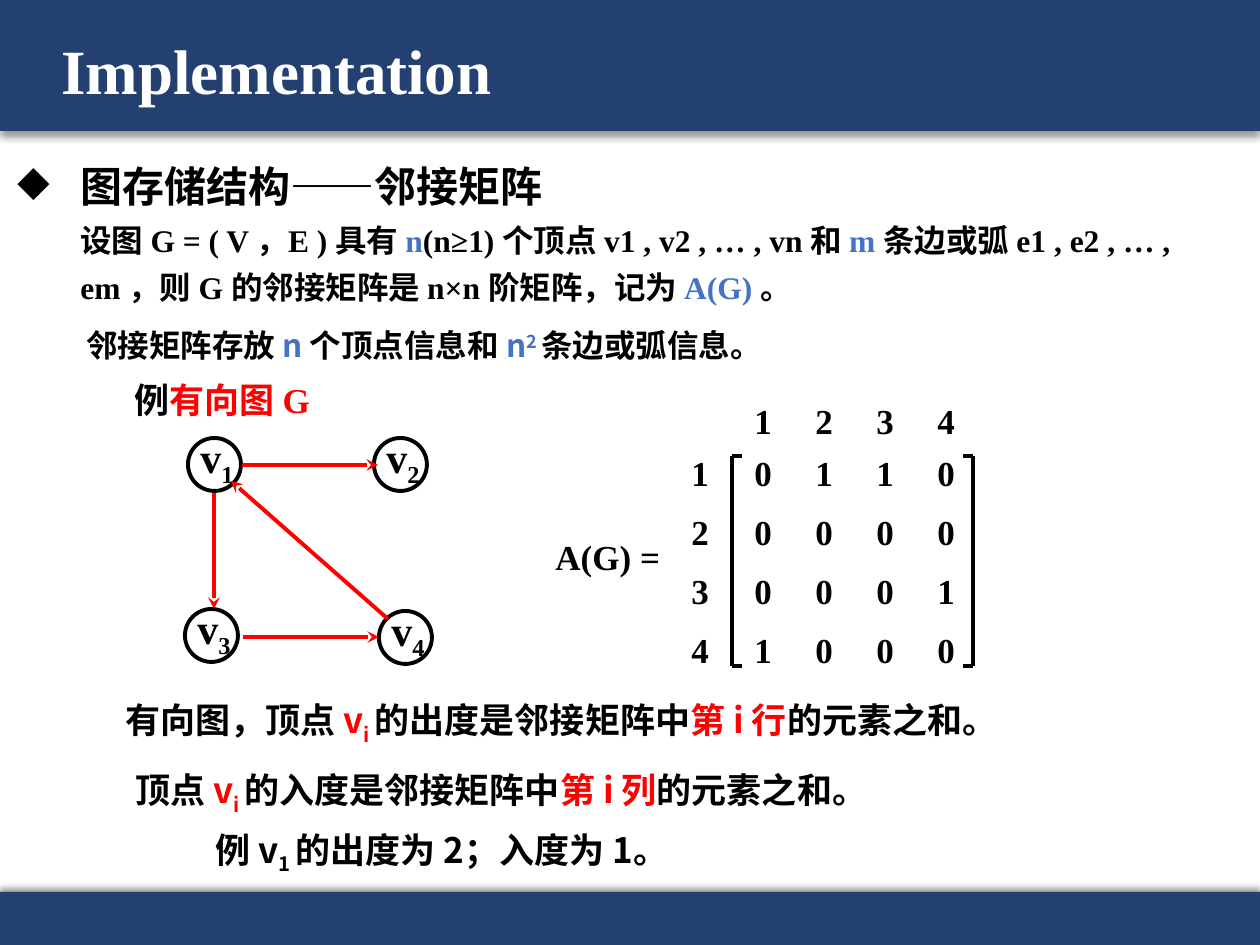
"""Build the slide on the adjacency matrix of a directed graph."""
from lxml.etree import SubElement
from pptx import Presentation
from pptx.dml.color import RGBColor
from pptx.enum.shapes import MSO_CONNECTOR, MSO_SHAPE
from pptx.enum.text import MSO_ANCHOR
from pptx.oxml.ns import qn
from pptx.util import Pt

PX = 914400 / 126
HUES = {"navy": "234071", "white": "FFFFFF", "black": "000000",
        "red": "FF0000", "blue": "4472C4"}
HUES = {name: RGBColor.from_string(code) for name, code in HUES.items()}
TIMES, NOTO = "Times New Roman", "Noto Sans CJK SC"

deck = Presentation()
deck.slide_width, deck.slide_height = round(1260 * PX), round(945 * PX)
slide = deck.slides.add_slide(deck.slide_layouts[6])
shapes = slide.shapes


def scale(*sizes):
    return [round(size * PX) for size in sizes]


def write(text, at, size=20, font=TIMES, hue="black", tabs=(), bullet=None,
          space=None, anchor=MSO_ANCHOR.TOP):
    """Text is a string or a list of (string, overrides) runs."""
    frame = shapes.add_textbox(*scale(*at)).text_frame
    frame.word_wrap = True
    frame.vertical_anchor = anchor
    par = frame.paragraphs[0]
    if space:
        par.line_spacing = space
    props = par._p.get_or_add_pPr()
    if bullet:
        props.set("marL", "457200")
        props.set("indent", "-457200")
        SubElement(props, qn("a:buChar"), char=bullet)
    if tabs:
        stops = SubElement(props, qn("a:tabLst"))
        for stop in scale(*tabs):
            SubElement(stops, qn("a:tab"), pos=str(stop), algn="l")
    for part, extra in [(text, {})] if isinstance(text, str) else text:
        if part == "\n":
            par.add_line_break()
            continue
        run = par.add_run()
        run.text = part
        run.font.size = Pt(extra.get("size", size))
        run.font.bold = True
        run.font.color.rgb = HUES[extra.get("hue", hue)]
        run.font.name = font
        mark = run._r.get_or_add_rPr()
        SubElement(mark, qn("a:ea"), typeface=NOTO)
        if "base" in extra:
            mark.set("baseline", str(extra["base"] * 1000))


for top, high, turn in [(0, 131, 90), (892, 53, 270)]:
    bar = shapes.add_shape(MSO_SHAPE.RECTANGLE, *scale(0, top, 1260, high))
    bar.fill.solid()
    bar.fill.fore_color.rgb = HUES["navy"]
    bar.line.fill.background()
    bar.shadow.inherit = False
    glow = SubElement(bar._element.spPr.find(qn("a:effectLst")), qn("a:outerShdw"),
                      blurRad=str(Pt(4)), dist=str(Pt(3)), dir=str(turn * 60000),
                      algn="t", rotWithShape="0")
    shade = SubElement(glow, qn("a:srgbClr"), val=str(HUES["black"]))
    SubElement(shade, qn("a:alpha"), val="40000")

plain, red, blue = {}, {"hue": "red"}, {"hue": "blue"}
sub = {"base": -25}
redsub = {**red, **sub}

write("Implementation", (49, 20, 1086, 108), size=36, hue="white", space=0.9,
      anchor=MSO_ANCHOR.MIDDLE)
write([("图存储结构——邻接矩阵", {"size": 24}), ("\n", plain),
       ("设图 G = ( V ，E ) 具有 ", plain), ("n", blue),
       ("(n≥1) 个顶点 v1 , v2 , … , vn 和 ", plain), ("m", blue),
       (" 条边或弧 e1 , e2 , … , em ，则 G 的邻接矩阵是 n×n 阶矩阵，记为 ", plain),
       ("A(G)", blue), (" 。", plain)],
      (5, 142, 1194, 171), size=18, bullet="◆", space=1.25)
write([("邻接矩阵存放 ", plain), ("n ", blue), ("个顶点信息和 ", plain),
       ("n", blue), ("2 ", {**blue, "base": 30}), ("条边或弧信息。", plain)],
      (74, 320, 1050, 50), size=18, font=NOTO)
write([("例", plain), ("有向图 G", red)], (122, 372, 336, 55))

nodes = [(188, 438), (374, 438), (185, 609), (379, 611)]
for num, (left, top) in enumerate(nodes, 1):
    ring = shapes.add_shape(MSO_SHAPE.OVAL, *scale(left, top, 53, 53))
    ring.fill.background()
    ring.line.color.rgb = HUES["black"]
    ring.line.width = Pt(2.25)
    ring.shadow.inherit = False
    write([("v", plain), (str(num), sub)], (left, top - 13, 94, 63), size=24)

edges = [(242, 465, 378, 465), (214, 493, 214, 609),
         (243, 637, 379, 637), (388, 619, 231, 481)]
top, foot = 456, 666
sides = []
for post, tip in [(732, 742), (973, 963)]:
    sides += [(post, top, post, foot), (post, top, tip, top), (post, foot, tip, foot)]
for hue, group in [("red", edges), ("black", sides)]:
    for ends in group:
        line = shapes.add_connector(MSO_CONNECTOR.STRAIGHT, *scale(*ends))
        line.line.color.rgb = HUES[hue]
        line.line.width = Pt(2.25)
        if hue == "red":
            SubElement(line.line._get_or_add_ln(), qn("a:tailEnd"), type="stealth")
        SubElement(line._element.spPr, qn("a:effectLst"))

write("A(G) =", (543, 529, 220, 55))
stops = [61 * col for col in (1, 2, 3)]
write("\t".join("1234"), (742, 393, 346, 55), tabs=stops)
for num, row in enumerate(["0110", "0000", "0001", "1000"]):
    level = 445 + 59 * num
    write(str(num + 1), (679, level, 42, 55))
    write("\t".join(row), (742, level, 346, 55), tabs=stops)

for lead, way, axis, at in [("有向图，顶点 ", "出", "行", (113, 692, 1096, 55)),
                            ("顶点 ", "入", "列", (123, 762, 979, 55))]:
    write([(lead, plain), ("v", red), ("i ", redsub),
           (f"的{way}度是邻接矩阵中", plain), (f"第 i {axis}", red),
           ("的元素之和。", plain)], at, font=NOTO)
write([("例 v", plain), ("1 ", sub), ("的出度为 2；入度为 1。", plain)],
      (203, 822, 651, 55), font=NOTO)

deck.save("out.pptx")
